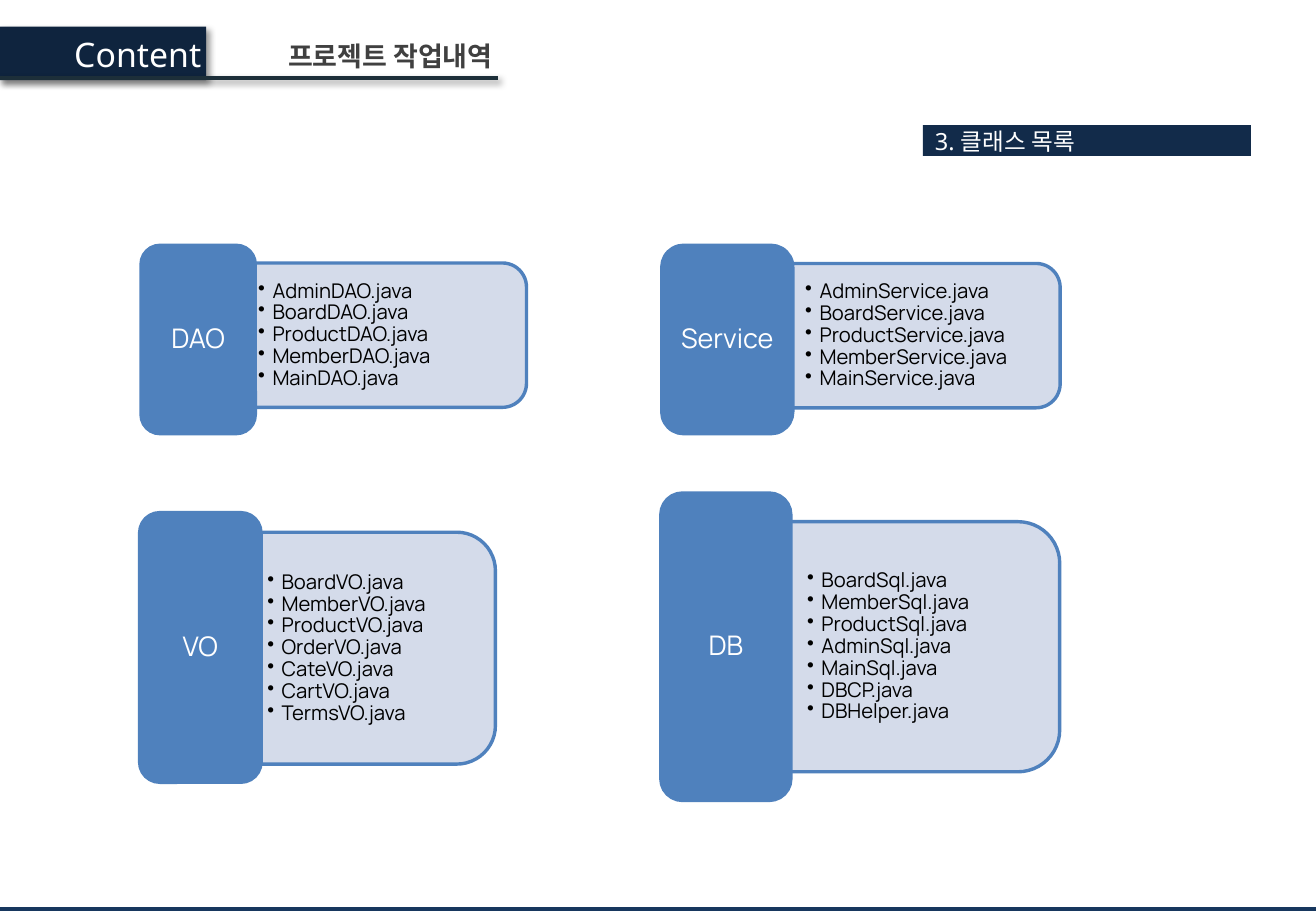
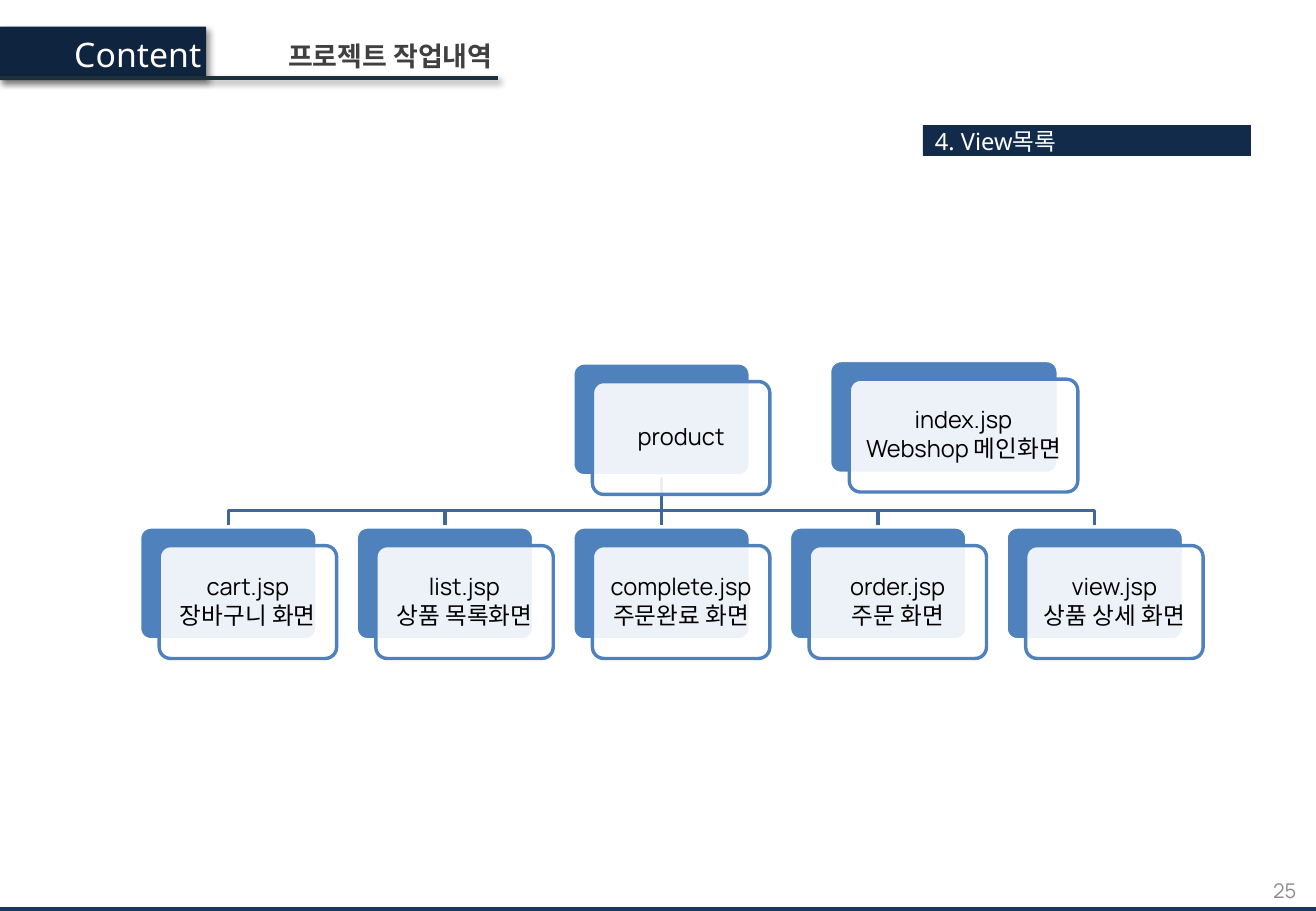
from dataclasses import dataclass

from lxml import etree
from pptx import Presentation
from pptx.dml.color import RGBColor
from pptx.enum.shapes import MSO_CONNECTOR, MSO_SHAPE
from pptx.enum.text import MSO_ANCHOR, MSO_AUTO_SIZE, PP_ALIGN
from pptx.oxml.ns import qn
from pptx.util import Cm, Pt

RECT = MSO_SHAPE.RECTANGLE
ROUNDED = MSO_SHAPE.ROUNDED_RECTANGLE
ROUND_TOP = MSO_SHAPE.ROUND_2_SAME_RECTANGLE
STRAIGHT = MSO_CONNECTOR.STRAIGHT
LEFT, CENTER, RIGHT = PP_ALIGN.LEFT, PP_ALIGN.CENTER, PP_ALIGN.RIGHT
TOP, MIDDLE = MSO_ANCHOR.TOP, MSO_ANCHOR.MIDDLE
NO_AUTOFIT = MSO_AUTO_SIZE.NONE


@dataclass(frozen=True)
class Theme:
    font: str = "Manrope"
    header_font: str = "Noto Sans"
    white: str = "FFFFFF"
    black: str = "000000"
    title: str = "404040"
    page: str = "8C8C8C"
    tag: str = "0F243E"
    rule: str = "1D2F39"
    section: str = "122B4A"
    footer: str = "17375E"
    accent: str = "4F81BD"
    panel: str = "D0D8E8"
    branch: str = "3F6797"
    tag_size: int = 20
    heading_size: int = 16
    card_size: int = 14
    list_size: int = 12
    outline: float = 2
    rule_width: float = 2.25


THEME = Theme()


@dataclass(frozen=True)
class ClassGroup:
    heading: str
    files: tuple
    box: tuple          # left, top, width, height in cm
    label_width: float
    panel_top: float    # below the top of the box
    panel_height: float
    overlap: float      # part of the panel under the label
    list_inset: float


CLASS_GROUPS = (
    ClassGroup("DAO", ("AdminDAO.java", "BoardDAO.java", "ProductDAO.java",
                       "MemberDAO.java", "MainDAO.java"),
               (2.95, 5.13, 8.06, 3.94), 2.39, 0.37, 3.02, 0.07, 0.13),
    ClassGroup("VO", ("BoardVO.java", "MemberVO.java", "ProductVO.java", "OrderVO.java",
                      "CateVO.java", "CartVO.java", "TermsVO.java"),
               (2.92, 10.72, 7.44, 5.64), 2.54, 0.41, 4.85, 0, 0.13),
    ClassGroup("Service", ("AdminService.java", "BoardService.java", "ProductService.java",
                           "MemberService.java", "MainService.java"),
               (13.84, 5.13, 8.33, 3.94), 2.74, 0.38, 3.02, 0.43, 0.69),
    ClassGroup("DB", ("BoardSql.java", "MemberSql.java", "ProductSql.java", "AdminSql.java",
                      "MainSql.java", "DBCP.java", "DBHelper.java"),
               (13.82, 10.31, 8.34, 6.43), 2.72, 0.6, 5.23, 0.35, 0.69),
)

VIEWS = (
    ("cart.jsp", "장바구니 화면"),
    ("list.jsp", "상품 목록화면"),
    ("complete.jsp", "주문완료 화면"),
    ("order.jsp", "주문 화면"),
    ("view.jsp", "상품 상세 화면"),
)


# Shared drawing helpers
def rgb(value):
    return RGBColor.from_string(value)


def lengths(box):
    return [Cm(value) for value in box]


def set_all(target, values):
    for name, value in values.items():
        setattr(target, name, value)


def write(shape, lines, size, color, font=THEME.font, align=LEFT, anchor=MIDDLE,
          insets=(0.13, 0.08, 0.13, 0.08), bold=False, wrap=True, spacing=1.0, after=0):
    frame = shape.text_frame
    sides = ("margin_left", "margin_top", "margin_right", "margin_bottom")
    set_all(frame, dict(zip(sides, lengths(insets))))
    set_all(frame, {"word_wrap": wrap, "vertical_anchor": anchor, "auto_size": NO_AUTOFIT})
    for index, line in enumerate(lines):
        paragraph = frame.add_paragraph() if index else frame.paragraphs[0]
        set_all(paragraph, {"alignment": align, "line_spacing": spacing,
                            "space_before": Pt(0), "space_after": Pt(after)})
        run = paragraph.add_run()
        run.text = line
        set_all(run.font, {"name": font, "size": Pt(size), "bold": bold})
        run.font.color.rgb = rgb(color)


def add_bullets(shape, indent):
    for paragraph in shape.text_frame.paragraphs:
        properties = paragraph._p.get_or_add_pPr()
        properties.set("marL", str(Cm(indent)))
        properties.set("indent", str(-Cm(indent)))
        etree.SubElement(properties, qn("a:buChar"), char="•")


def add_effects(shape, shadow=False):
    effects = etree.SubElement(shape._element.spPr, qn("a:effectLst"))
    if shadow:
        outer = etree.SubElement(effects, qn("a:outerShdw"), blurRad=str(Pt(4)),
                                 dist=str(Pt(3)), dir="2700000", algn="tl", rotWithShape="0")
        black = etree.SubElement(outer, qn("a:srgbClr"), val=THEME.black)
        etree.SubElement(black, qn("a:alpha"), val="40000")


def add_box(slide, kind, box, fill, line=None, opacity=100, corner=None, shadow=False):
    shape = slide.shapes.add_shape(kind, *lengths(box))
    shape.fill.solid()
    shape.fill.fore_color.rgb = rgb(fill)
    if opacity < 100:
        color = shape._element.spPr.find(qn("a:solidFill"))[0]
        etree.SubElement(color, qn("a:alpha"), val=str(opacity * 1000))
    if line:
        shape.line.color.rgb = rgb(line)
        shape.line.width = Pt(THEME.outline)
    else:
        shape.line.fill.background()
    if corner is not None:
        shape.adjustments[0] = corner
    if shadow:
        add_effects(shape, shadow=True)
    else:
        shape.shadow.inherit = False
    return shape


# Parts on every slide
def draw_header(slide, box, title):
    left, top, width, height = box
    tag = add_box(slide, RECT, (left, top, 4.34, height), THEME.tag, shadow=True)
    write(tag, ["Content"], THEME.tag_size, THEME.white, THEME.header_font, RIGHT,
          insets=(0, 0, 0.1, 0), wrap=False)

    heading = slide.shapes.title
    title_box = (left + 5.4, top + 0.13, 5.18, 0.94)
    set_all(heading, dict(zip(("left", "top", "width", "height"), lengths(title_box))))
    write(heading, [title], THEME.heading_size, THEME.title, align=RIGHT, anchor=TOP,
          insets=(0.25, 0.13, 0.25, 0.13), bold=True, wrap=False)

    rule_y = top + 1.07
    rule = slide.shapes.add_connector(
        STRAIGHT, *lengths((left, rule_y, left + width, rule_y)))
    rule.line.color.rgb = rgb(THEME.rule)
    rule.line.width = Pt(THEME.rule_width)
    add_effects(rule, shadow=True)


def draw_section(slide, box, text):
    section = add_box(slide, RECT, box, THEME.section)
    write(section, [text], THEME.card_size, THEME.white, THEME.header_font,
          insets=(0.25, 0, 0.25, 0))


def draw_page_number(slide, box, number):
    page = slide.shapes.add_textbox(*lengths(box))
    write(page, [number], THEME.list_size, THEME.page, align=RIGHT,
          insets=(0.25, 0.13, 0.25, 0.13))


def start_slide(prs, section):
    slide = prs.slides.add_slide(prs.slide_layouts[5])
    add_box(slide, RECT, (-0.25, 18.97, 28, 0.23), THEME.footer)
    draw_section(slide, (19.3, 2.62, 6.86, 0.64), section)
    draw_header(slide, (-0.03, 0.56, 10.44, 1.12), "프로젝트 작업내역")
    return slide


# Class list: a label with a panel of file names beside it
def draw_class_group(slide, group):
    left, top, width, height = group.box
    panel_left = left + group.label_width - group.overlap
    panel_width = left + width - panel_left
    panel_top, panel_height = top + group.panel_top, group.panel_height

    # The panel is a quarter turn of a shape with its two top corners rounded
    shift = (panel_width - panel_height) / 2
    panel = add_box(slide, ROUND_TOP,
                    (panel_left + shift, panel_top - shift, panel_height, panel_width),
                    THEME.panel, THEME.accent, opacity=90)
    panel.rotation = 90

    files = slide.shapes.add_textbox(
        *lengths((panel_left, panel_top, panel_width, panel_height)))
    write(files, group.files, THEME.list_size, THEME.black, spacing=0.9,
          insets=(group.list_inset, 0.08, 0.13, 0.08))
    add_bullets(files, 0.3)

    label = add_box(slide, ROUNDED, (left, top, group.label_width, height),
                    THEME.accent, THEME.accent)
    write(label, [group.heading], THEME.heading_size, THEME.white, align=CENTER, spacing=0.9)


# View tree: cards joined by branches
def draw_card(slide, box, lines):
    left, top, width, height = box
    add_box(slide, ROUNDED, box, THEME.accent, THEME.white, corner=0.1)
    front = add_box(slide, ROUNDED, (left + 0.41, top + 0.39, width, height),
                    THEME.white, THEME.accent, opacity=90, corner=0.1)
    write(front, lines, THEME.card_size, THEME.black, align=CENTER, spacing=0.9, after=2)


def draw_branch(slide, start, end):
    (start_x, start_y), (end_x, end_y) = start, end
    bend_y = end_y - 0.35
    points = [(end_x, end_y)]
    if start_x != end_x:
        points = [(start_x, bend_y), (end_x, bend_y)] + points
    builder = slide.shapes.build_freeform(Cm(start_x), Cm(start_y))
    builder.add_line_segments([lengths(point) for point in points], close=False)
    branch = builder.convert_to_shape()
    branch.fill.background()
    branch.line.color.rgb = rgb(THEME.branch)
    branch.line.width = Pt(THEME.outline)
    branch.shadow.inherit = False


def draw_view_tree(slide, box, root, views):
    left, top, width, height = box
    card_width, card_height = 3.71, 2.36
    step = (width - card_width) / (len(views) - 1)
    lefts = [left + index * step for index in range(len(views))]
    root_left = lefts[len(views) // 2]
    child_top = top + height - card_height
    middle = card_width / 2

    for child_left in reversed(lefts):
        draw_branch(slide, (root_left + middle, top + card_height),
                    (child_left + middle, child_top))
    draw_card(slide, (root_left, top, card_width, card_height), [root])
    for child_left, lines in zip(lefts, views):
        draw_card(slide, (child_left, child_top, card_width, card_height), lines)


# Slides
def build_class_slide(prs):
    slide = start_slide(prs, "3. 클래스 목록")
    for group in CLASS_GROUPS:
        draw_class_group(slide, group)


def build_view_slide(prs):
    slide = start_slide(prs, "4. View목록")
    draw_page_number(slide, (20.93, 18.11, 6.43, 1.02), "25")
    draw_view_tree(slide, (2.92, 7.59, 21.83, 5.79), "product", VIEWS)
    draw_card(slide, (17.35, 7.54, 4.78, 2.36), ("index.jsp", "Webshop 메인화면"))


prs = Presentation()
prs.slide_width, prs.slide_height = Cm(27.52), Cm(19.05)
build_class_slide(prs)
build_view_slide(prs)
prs.save("out.pptx")
